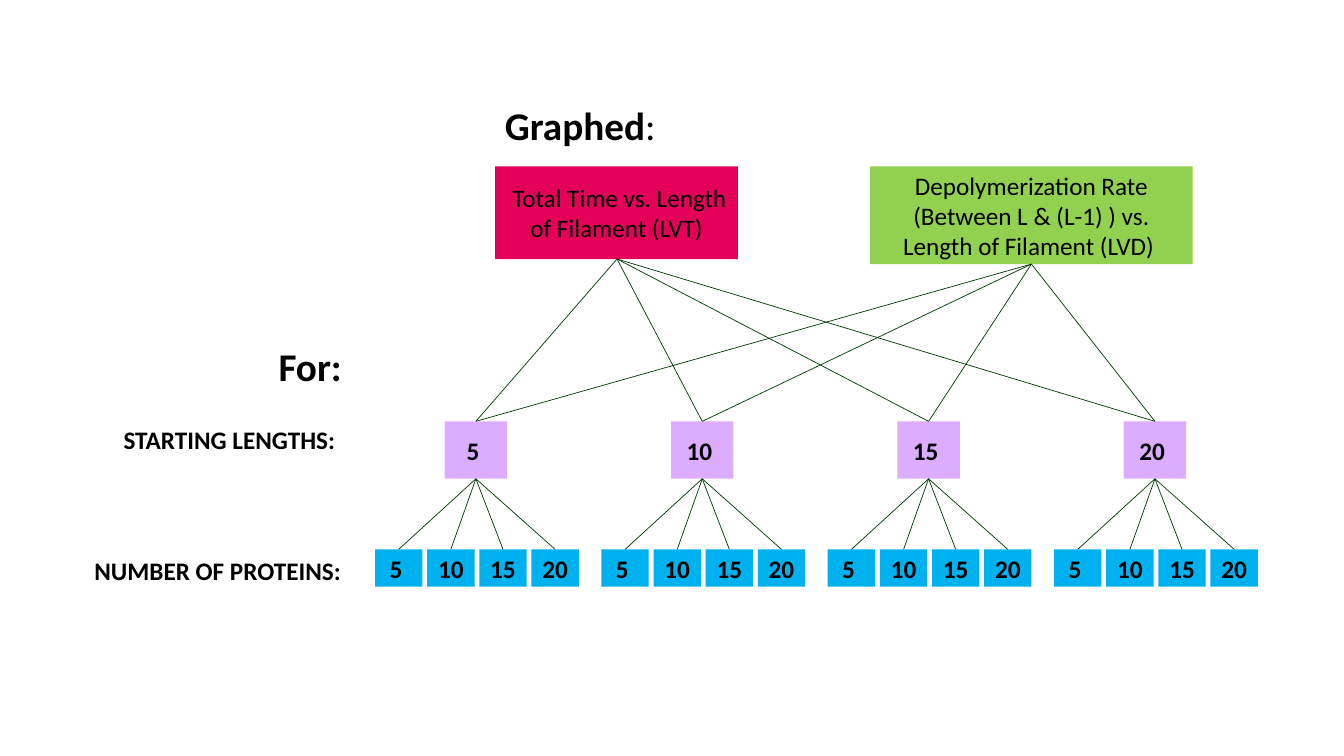
from lxml import etree
from pptx import Presentation
from pptx.dml.color import RGBColor
from pptx.enum.shapes import MSO_CONNECTOR, MSO_SHAPE
from pptx.enum.text import MSO_ANCHOR, MSO_AUTO_SIZE, PP_ALIGN
from pptx.oxml.ns import qn
from pptx.util import Inches, Pt

BLACK = RGBColor(0x00, 0x00, 0x00)
WHITE = RGBColor(0xFF, 0xFF, 0xFF)
LILAC = RGBColor(0xDC, 0xAC, 0xFF)
BLUE = RGBColor(0x00, 0xB1, 0xEF)
GREEN = RGBColor(0x92, 0xD0, 0x50)
CRIMSON = RGBColor(0xE4, 0x00, 0x59)
DARK_GREEN = RGBColor(0x00, 0x3B, 0x04)

VALUES = [5, 10, 15, 20]
LENGTH_TOP, LENGTH_WIDTH, LENGTH_HEIGHT = 4.18, 0.62, 0.57
PROTEIN_TOP, PROTEIN_WIDTH, PROTEIN_HEIGHT = 5.45, 0.47, 0.37


def write_text(shape, text, size=18, bold=True, align=PP_ALIGN.CENTER,
               anchor=MSO_ANCHOR.MIDDLE, line_spacing=None):
    frame = shape.text_frame
    frame.word_wrap = True
    frame.auto_size = MSO_AUTO_SIZE.NONE
    frame.vertical_anchor = anchor
    paragraph = frame.paragraphs[0]
    paragraph.alignment = align
    paragraph.line_spacing = line_spacing
    paragraph.space_before = Pt(0)
    run = paragraph.add_run()
    run.text = text
    run.font.name = "Calibri"
    run.font.size = Pt(size)
    run.font.bold = bold
    run.font.color.rgb = BLACK
    return paragraph


presentation = Presentation()
presentation.slide_width = Inches(13.33)
presentation.slide_height = Inches(7.5)
slide = presentation.slides.add_slide(presentation.slide_layouts[1])
title = slide.shapes.title
title.element.getparent().remove(title.element)

# "For:" heading in the body placeholder
for_heading = slide.placeholders[1]
for_heading.left, for_heading.top = Inches(2.57), Inches(3.4)
for_heading.width, for_heading.height = Inches(0.92), Inches(0.7)
properties = for_heading.text_frame.paragraphs[0]._p.get_or_add_pPr()
properties.set("marL", "0")
properties.set("indent", "0")
etree.SubElement(properties, qn("a:buNone"))
write_text(for_heading, "For:", size=28, align=PP_ALIGN.RIGHT,
           anchor=MSO_ANCHOR.TOP, line_spacing=0.9)

# "Graphed:" heading
graphed = slide.shapes.add_textbox(Inches(4.91), Inches(1.01), Inches(1.82), Inches(0.57))
graphed_paragraph = write_text(graphed, "Graphed", size=28, align=PP_ALIGN.LEFT,
                               anchor=MSO_ANCHOR.TOP, line_spacing=0.9)
colon = graphed_paragraph.add_run()
colon.text = ":"
colon.font.name = "Calibri"
colon.font.size = Pt(28)
colon.font.color.rgb = BLACK

# Row labels and graph boxes: container, text, position, fill, text format
boxes = [
    (slide.shapes, "STARTING LENGTHS: ", (0.99, 4.18, 2.49, 0.36), WHITE,
     {"align": PP_ALIGN.RIGHT}),
    (slide.shapes, "NUMBER OF PROTEINS:", (0.7, 5.48, 2.78, 0.36), WHITE,
     {"align": PP_ALIGN.RIGHT}),
    (slide.shapes, "Depolymerization Rate (Between L & (L-1) ) vs. Length of Filament (LVD) ",
     (8.63, 1.65, 3.2, 0.97), GREEN, {"bold": False}),
    (slide.shapes, " Total Time vs. Length of Filament (LVT)",
     (4.91, 1.65, 2.41, 0.92), CRIMSON, {"bold": False}),
]
graph_bottoms = [(6.12, 2.57), (10.23, 2.62)]
lines = []

# One group per starting length, with its four protein counts
for column, length in enumerate(VALUES):
    group = slide.shapes.add_group_shape().shapes
    center = 4.72 + column * 2.245
    boxes.append((group, f"{length} ",
                  (center - LENGTH_WIDTH / 2, LENGTH_TOP, LENGTH_WIDTH, LENGTH_HEIGHT),
                  LILAC, {}))
    for position, count in enumerate(VALUES):
        left = center - 1 + position * 0.517
        boxes.append((group, f"{count} ",
                      (left, PROTEIN_TOP, PROTEIN_WIDTH, PROTEIN_HEIGHT), BLUE, {}))
        lines.append((group, (center, LENGTH_TOP + LENGTH_HEIGHT),
                      (left + PROTEIN_WIDTH / 2, PROTEIN_TOP)))
    for graph_bottom in graph_bottoms:
        lines.append((slide.shapes, graph_bottom, (center, LENGTH_TOP)))

# Draw the boxes
for container, text, place, fill, text_format in boxes:
    box = container.add_shape(MSO_SHAPE.RECTANGLE, *[Inches(value) for value in place])
    box.shadow.inherit = False
    box.fill.solid()
    box.fill.fore_color.rgb = fill
    box.line.fill.background()
    write_text(box, text, **text_format)

# Draw the connecting lines
for container, start, end in lines:
    connector = container.add_connector(
        MSO_CONNECTOR.STRAIGHT, *[Inches(value) for value in start + end])
    connector.line.color.rgb = DARK_GREEN
    connector.line.width = Pt(0.5)
    etree.SubElement(connector._element.spPr, qn("a:effectLst"))

presentation.save("out.pptx")
